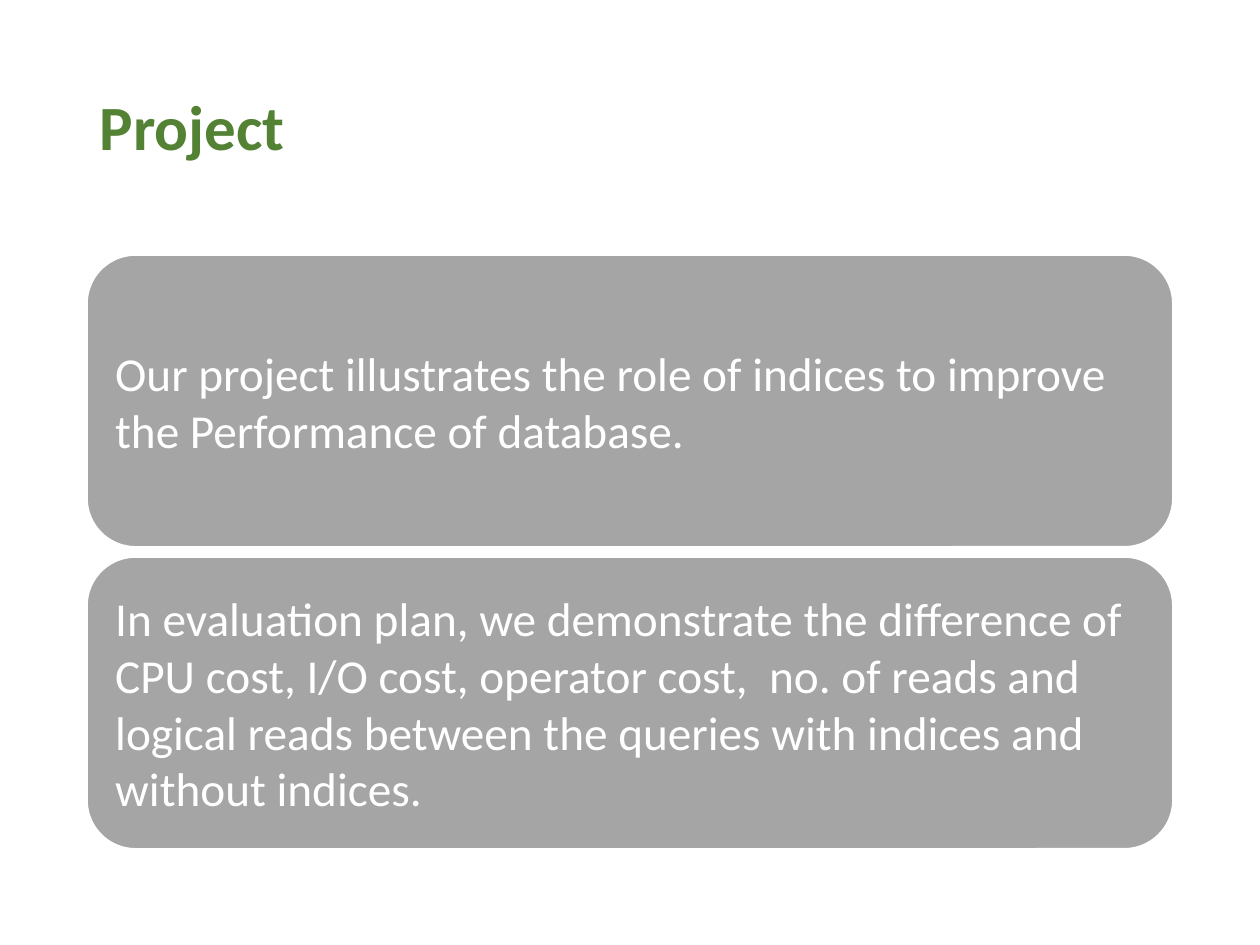
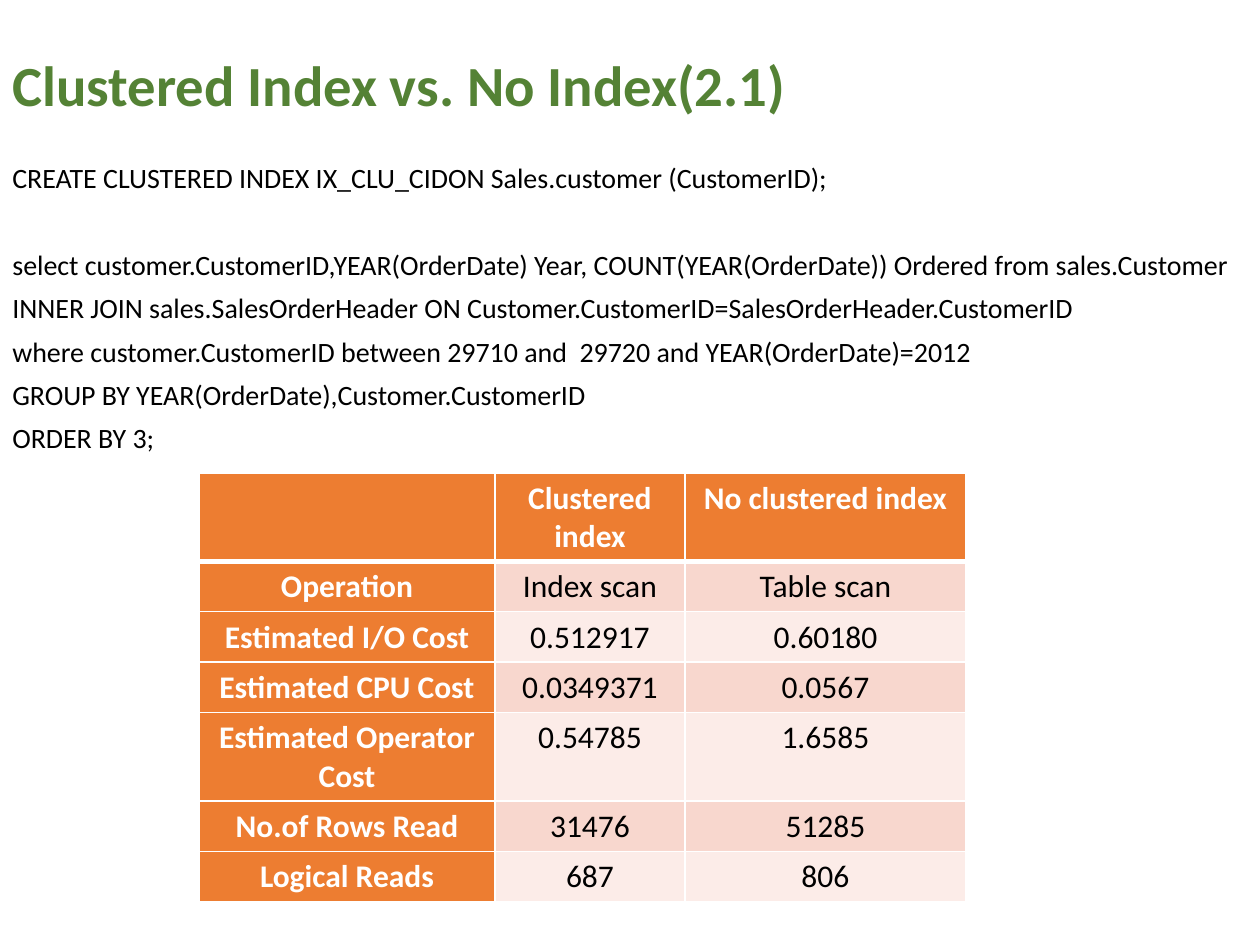
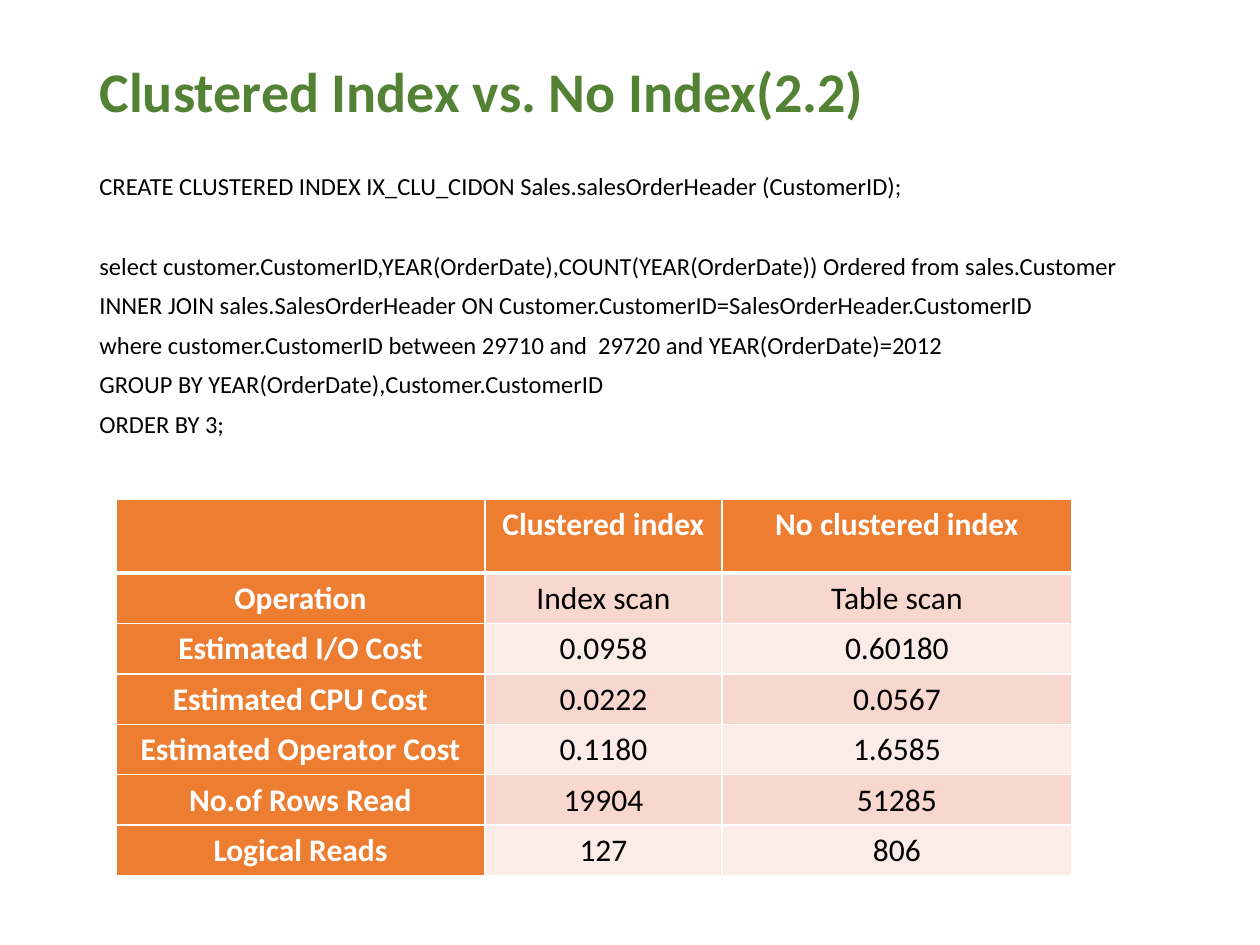
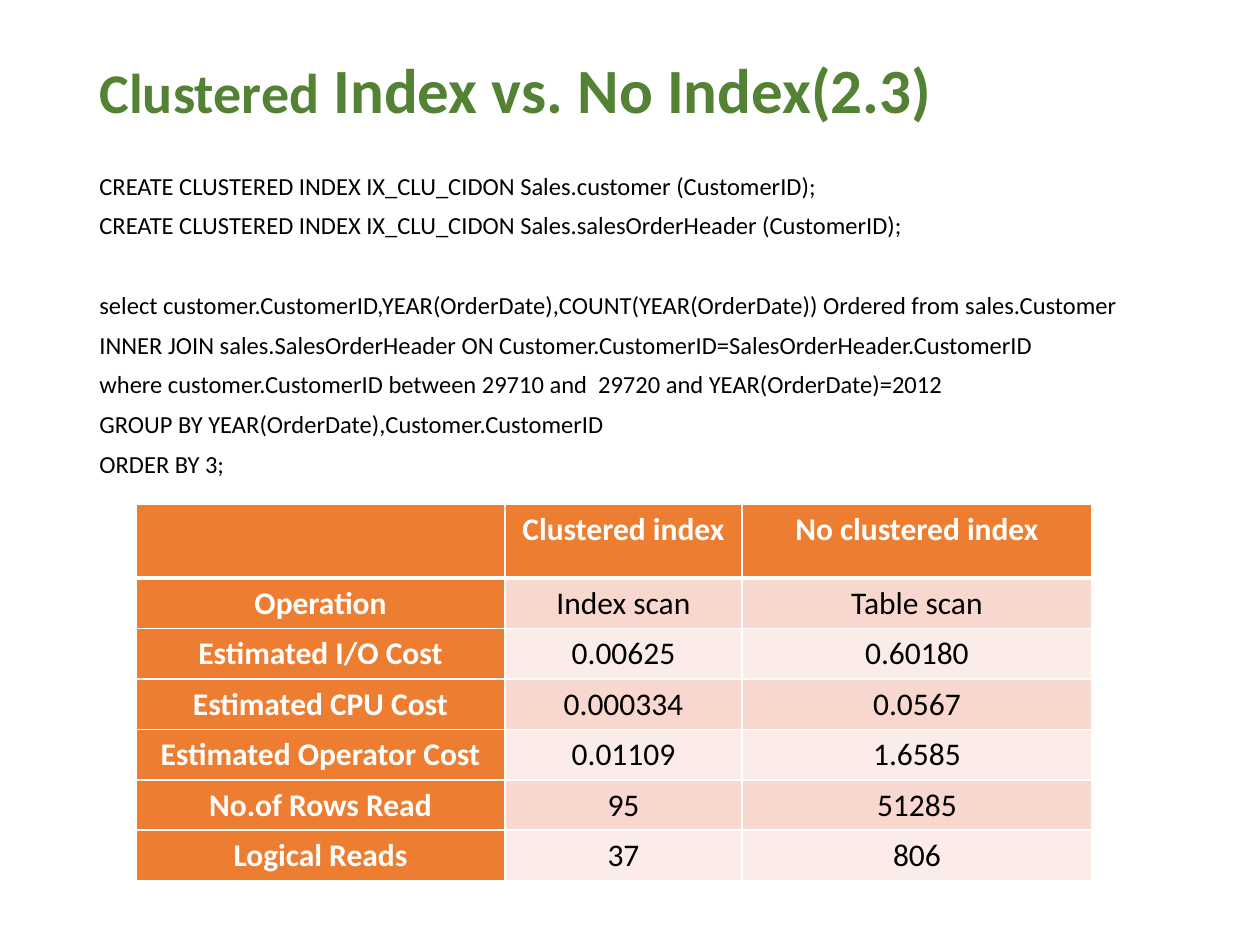
from dataclasses import dataclass

from lxml.etree import SubElement
from pptx import Presentation
from pptx.dml.color import RGBColor
from pptx.enum.shapes import MSO_SHAPE
from pptx.enum.text import MSO_ANCHOR, MSO_AUTO_SIZE, PP_ALIGN
from pptx.oxml.ns import qn
from pptx.util import Emu, Pt

GREEN = RGBColor(0x54, 0x82, 0x35)
GRAY = RGBColor(0xA5, 0xA5, 0xA5)
ORANGE = RGBColor(0xED, 0x7D, 0x31)
BAND_DARK = RGBColor(0xF8, 0xD7, 0xCE)
BAND_LIGHT = RGBColor(0xFC, 0xEC, 0xE8)
WHITE = RGBColor(0xFF, 0xFF, 0xFF)
BLACK = RGBColor(0x00, 0x00, 0x00)
FONT = "Calibri"
LINE_SPACING = 0.9
QUERY_GAP = 7.5


def px(length: int) -> Emu:
    return Emu(round(length * 914400 / 126))


@dataclass(frozen=True)
class Box:
    left: int
    top: int
    width: int
    height: int

    def emu(self) -> tuple[Emu, Emu, Emu, Emu]:
        return px(self.left), px(self.top), px(self.width), px(self.height)


@dataclass(frozen=True)
class Heading:
    box: Box
    wording: tuple[tuple[str, float], ...]


@dataclass(frozen=True)
class Query:
    box: Box
    size: int
    align: PP_ALIGN
    statements: tuple[tuple[str, ...], ...]


@dataclass(frozen=True)
class Costs:
    left: int
    top: int
    columns: tuple[int, int, int]
    header_height: int
    row_height: int
    clustered: tuple[str, ...]


@dataclass(frozen=True)
class Comparison:
    heading: Heading
    query: Query
    costs: Costs


MEASURES = ("Operation", "Estimated I/O Cost", "Estimated CPU Cost",
            "Estimated Operator Cost", "No.of Rows Read", "Logical Reads")
UNINDEXED = ("Table scan", "0.60180", "0.0567", "1.6585", "51285", "806")

INDEX_CUSTOMER = "CREATE CLUSTERED INDEX IX_CLU_CIDON Sales.customer (CustomerID);"
INDEX_ORDERS = "CREATE CLUSTERED INDEX IX_CLU_CIDON Sales.salesOrderHeader (CustomerID);"


def order_count(columns: str) -> tuple[str, ...]:
    return (
        f"select customer.CustomerID,{columns} Ordered from sales.Customer",
        "INNER JOIN sales.SalesOrderHeader ON Customer.CustomerID=SalesOrderHeader.CustomerID",
        "where customer.CustomerID between 29710 and  29720 and YEAR(OrderDate)=2012",
        "GROUP BY YEAR(OrderDate),Customer.CustomerID",
        "ORDER BY 3;",
    )


NAMED_YEAR = order_count("YEAR(OrderDate) Year, COUNT(YEAR(OrderDate))")
PLAIN_YEAR = order_count("YEAR(OrderDate),COUNT(YEAR(OrderDate))")
QUERY_BOX = Box(87, 168, 1086, 683)
WIDE_COLUMNS = (369, 237, 350)

PROJECT = Heading(Box(87, 50, 1086, 160), (("Project", 36),))
GOALS = (
    "Our project illustrates the role of indices to improve the Performance of database.",
    "In evaluation plan, we demonstrate the difference of CPU cost, I/O cost, operator cost,"
    "  no. of reads and logical reads between the queries with indices and without indices.",
)
FIRST_GOAL = Box(87, 255, 1086, 292)
GOAL_PITCH = 302

COMPARISONS = (
    Comparison(
        Heading(Box(0, 50, 1173, 76), (("Clustered Index vs. No Index(2.1)", 32.4),)),
        Query(Box(0, 158, 1260, 694), 16, PP_ALIGN.LEFT, ((INDEX_CUSTOMER,), NAMED_YEAR)),
        Costs(199, 473, (296, 190, 281), 53, 49,
              ("Index scan", "0.512917", "0.0349371", "0.54785", "31476", "687")),
    ),
    Comparison(
        Heading(Box(87, 52, 1086, 84), (("Clustered Index vs. No Index(2.2)", 32),)),
        Query(QUERY_BOX, 14, PP_ALIGN.JUSTIFY, ((INDEX_ORDERS,), PLAIN_YEAR)),
        Costs(116, 499, WIDE_COLUMNS, 74, 43,
              ("Index scan", "0.0958", "0.0222", "0.1180", "19904", "127")),
    ),
    Comparison(
        Heading(Box(87, 50, 1086, 86), (("Clustered", 32), (" Index vs. No Index(2.3)", 36))),
        Query(QUERY_BOX, 14, PP_ALIGN.LEFT, ((INDEX_CUSTOMER, INDEX_ORDERS), PLAIN_YEAR)),
        Costs(136, 504, WIDE_COLUMNS, 74, 43,
              ("Index scan", "0.00625", "0.000334", "0.01109", "95", "37")),
    ),
)


def write(paragraph, text: str, *, size: float, color: RGBColor, bold: bool = False,
          align: PP_ALIGN = PP_ALIGN.LEFT, spacing: float = 1.0, before: float = 0) -> None:
    paragraph.alignment = align
    paragraph.line_spacing = spacing
    paragraph.space_before = Pt(before)
    run = paragraph.add_run()
    run.text = text
    run.font.name = FONT
    run.font.size = Pt(size)
    run.font.bold = bold
    run.font.color.rgb = color


def add_titled_slide(deck, heading: Heading):
    slide = deck.slides.add_slide(deck.slide_layouts[5])
    title = slide.shapes.title
    title.left, title.top, title.width, title.height = heading.box.emu()
    frame = title.text_frame
    frame.auto_size = MSO_AUTO_SIZE.NONE
    frame.vertical_anchor = MSO_ANCHOR.MIDDLE
    for text, size in heading.wording:
        write(frame.paragraphs[0], text, size=size, color=GREEN, bold=True,
              spacing=LINE_SPACING)
    return slide


def add_goal(slide, box: Box, text: str) -> None:
    goal = slide.shapes.add_shape(MSO_SHAPE.ROUNDED_RECTANGLE, *box.emu())
    goal.shadow.inherit = False
    goal.fill.solid()
    goal.fill.fore_color.rgb = GRAY
    goal.line.color.rgb = WHITE
    goal.line.width = Pt(1)
    frame = goal.text_frame
    frame.word_wrap = True
    frame.vertical_anchor = MSO_ANCHOR.MIDDLE
    frame.margin_left = frame.margin_right = px(14)
    frame.margin_top = frame.margin_bottom = px(14)
    write(frame.paragraphs[0], text, size=27, color=WHITE)


def add_query(slide, query: Query) -> None:
    frame = slide.shapes.add_textbox(*query.box.emu()).text_frame
    frame.word_wrap = True
    statement_gap = 2 * QUERY_GAP + 1.1 * query.size
    paragraph = frame.paragraphs[0]
    for order, statement in enumerate(query.statements):
        for number, line in enumerate(statement):
            if order or number:
                paragraph = frame.add_paragraph()
            starts_later_statement = order > 0 and number == 0
            write(paragraph, line, size=query.size, color=BLACK, align=query.align,
                  spacing=LINE_SPACING,
                  before=statement_gap if starts_later_statement else QUERY_GAP)


def add_borders(cell, *, top: int, bottom: int) -> None:
    properties = cell._tc.get_or_add_tcPr()
    for side, width in (("lnL", 1), ("lnR", 1), ("lnT", top), ("lnB", bottom)):
        border = SubElement(properties, qn(f"a:{side}"), w=str(Pt(width)))
        fill = SubElement(border, qn("a:solidFill"))
        SubElement(fill, qn("a:srgbClr"), val=str(WHITE))


def add_costs(slide, costs: Costs) -> None:
    rows = (("", "Clustered index", "No clustered index"),
            *zip(MEASURES, costs.clustered, UNINDEXED))
    box = Box(costs.left, costs.top, sum(costs.columns),
              costs.header_height + len(MEASURES) * costs.row_height)
    table = slide.shapes.add_table(len(rows), len(costs.columns), *box.emu()).table
    table.first_col = True
    table.horz_banding = False
    for column, width in zip(table.columns, costs.columns):
        column.width = px(width)
    for r, values in enumerate(rows):
        table.rows[r].height = px(costs.row_height if r else costs.header_height)
        for c, value in enumerate(values):
            cell = table.cell(r, c)
            is_heading = r == 0 or c == 0
            add_borders(cell, top=3 if r == 1 else 1, bottom=1 if r else 3)
            cell.fill.solid()
            band = BAND_DARK if r % 2 else BAND_LIGHT
            cell.fill.fore_color.rgb = ORANGE if is_heading else band
            if value:
                write(cell.text_frame.paragraphs[0], value, size=18, bold=is_heading,
                      color=WHITE if is_heading else BLACK, align=PP_ALIGN.CENTER)


def main() -> None:
    deck = Presentation()
    deck.slide_width, deck.slide_height = px(1260), px(945)

    project = add_titled_slide(deck, PROJECT)
    for number, goal in enumerate(GOALS):
        add_goal(project, Box(FIRST_GOAL.left, FIRST_GOAL.top + number * GOAL_PITCH,
                              FIRST_GOAL.width, FIRST_GOAL.height), goal)

    for comparison in COMPARISONS:
        slide = add_titled_slide(deck, comparison.heading)
        add_query(slide, comparison.query)
        add_costs(slide, comparison.costs)

    deck.save("out.pptx")


main()
